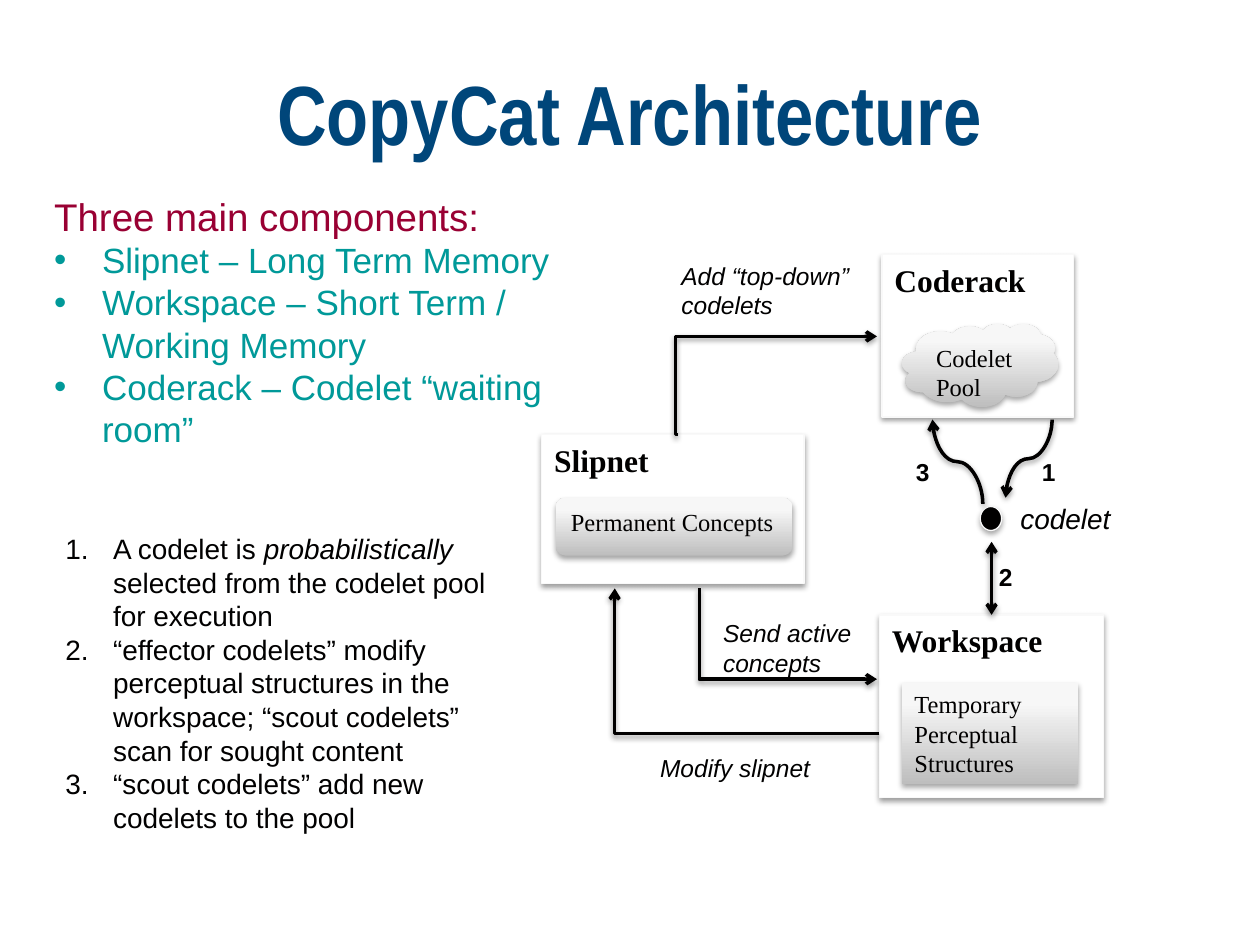
from lxml.etree import SubElement
from pptx import Presentation
from pptx.dml.color import RGBColor
from pptx.enum.shapes import MSO_CONNECTOR as LINK, MSO_SHAPE as SHAPE
from pptx.enum.text import MSO_ANCHOR as ANCHOR, MSO_AUTO_SIZE as FIT, PP_ALIGN as ALIGN
from pptx.oxml.ns import qn
from pptx.util import Emu, Pt

PX = 9144
SERIF = "Times New Roman"
INK, TEAL, WINE, NAVY = "010000", "009999", "990033", "00467A"


def px(value):
    return Emu(round(value * PX))


def color(hex_text):
    return RGBColor.from_string(hex_text)


def write(paragraph, text, size=14, font="Arial", ink=INK, bold=False, italic=False):
    run = paragraph.add_run()
    run.text = text
    run.font.size = Pt(size)
    run.font.name = font
    run.font.color.rgb = color(ink)
    run.font.bold = bold
    run.font.italic = italic


def new_paragraph(frame):
    first = frame.paragraphs[0]
    return first if not first.runs else frame.add_paragraph()


def set_marker(paragraph, tag, hanging=0, **attributes):
    properties = paragraph._p.get_or_add_pPr()
    properties.set("marL", str(px(hanging)))
    properties.set("indent", str(-px(hanging)))
    paragraph.space_before = Pt(0)
    SubElement(properties, qn(tag), **attributes)


def place(shape, left, top, width, height):
    shape.left, shape.top = px(left), px(top)
    shape.width, shape.height = px(width), px(height)


def add_shadow(effects, distance, opacity):
    shadow = SubElement(effects, qn("a:outerShdw"), blurRad="40000", dist=str(distance),
                        dir="5400000", rotWithShape="0")
    black = SubElement(shadow, qn("a:srgbClr"), val="000000")
    SubElement(black, qn("a:alpha"), val=str(opacity * 1000))


def add_node(slide, kind, box, lines=(), fill=None, outline="F9F9F9", soft=False, **style):
    shape = slide.shapes.add_shape(kind, *map(px, box))
    if fill:
        shape.fill.solid()
        shape.fill.fore_color.rgb = color(fill)
        shape.line.color.rgb = color(outline)
        shape.line.width = Pt(0.75)
    else:
        shape.fill.gradient()
        shape.fill.gradient_angle = 90
        for stop, position, shade in zip(shape.fill.gradient_stops, (0, 0.8), ("BEBEBE", "F7F7F7")):
            stop.position = position
            stop.color.rgb = color(shade)
        shape.line.fill.background()
    shape.shadow.inherit = False
    effects = shape._element.spPr.find(qn("a:effectLst"))
    add_shadow(effects, *((23000, 35) if soft else (20000, 38)))
    frame = shape.text_frame
    frame.word_wrap = True
    frame.vertical_anchor = ANCHOR.TOP
    for line in lines:
        paragraph = new_paragraph(frame)
        paragraph.alignment = ALIGN.LEFT
        write(paragraph, line, font=SERIF, **style)
    return shape


def add_container(slide, kind, box, name):
    return add_node(slide, kind, box, [name], fill="FFFFFF", size=18, bold=True)


def add_label(slide, box, text=None, **style):
    shape = slide.shapes.add_textbox(*map(px, box))
    frame = shape.text_frame
    frame.word_wrap = True
    frame.auto_size = FIT.SHAPE_TO_FIT_TEXT
    if text:
        write(frame.paragraphs[0], text, **style)
    return frame


def add_arrow(slide, kind, start, end, adjust=None, turn=0, both=False):
    (x1, y1), (x2, y2) = start, end
    if turn:
        sign = 1 if turn == 90 else -1
        center_x, center_y = (x1 + x2) / 2, (y1 + y2) / 2
        dx, dy = sign * (y1 - y2) / 2, -sign * (x1 - x2) / 2
        x1, y1, x2, y2 = center_x + dx, center_y + dy, center_x - dx, center_y - dy
    arrow = slide.shapes.add_connector(kind, px(x1), px(y1), px(x2), px(y2))
    properties = arrow._element.spPr
    if turn:
        properties.find(qn("a:xfrm")).set("rot", str(turn * 60000))
    if adjust is not None:
        guides = properties.find(qn("a:prstGeom")).find(qn("a:avLst"))
        SubElement(guides, qn("a:gd"), name="adj1", fmla=f"val {adjust}")
    arrow.line.color.rgb = color(INK)
    arrow.line.width = Pt(2)
    line = properties.find(qn("a:ln"))
    for tag in ("a:headEnd", "a:tailEnd")[0 if both else 1:]:
        SubElement(line, qn(tag), type="arrow")
    add_shadow(SubElement(properties, qn("a:effectLst")), 20000, 38)
    return arrow


def add_title(slide):
    title = slide.shapes.title
    place(title, 50, 58, 900, 100)
    frame = title.text_frame
    frame.auto_size = FIT.NONE
    frame.vertical_anchor = ANCHOR.TOP
    frame.margin_top = px(13)
    paragraph = frame.paragraphs[0]
    paragraph.alignment = ALIGN.CENTER
    paragraph.line_spacing = 0.7
    write(paragraph, "CopyCat Architecture", size=48, font="Arial Narrow", ink=NAVY, bold=True)


def add_components(slide):
    body = slide.placeholders[1]
    place(body, 33, 148, 442, 263)
    frame = body.text_frame
    frame.auto_size = FIT.NONE
    heading = frame.paragraphs[0]
    set_marker(heading, "a:buNone")
    write(heading, "Three main components:", size=22, ink=WINE)
    for item in ("Slipnet – Long Term Memory", "Workspace – Short Term / Working Memory",
                 "Coderack – Codelet “waiting room”"):
        paragraph = new_paragraph(frame)
        set_marker(paragraph, "a:buChar", 38, char="•")
        write(paragraph, item, size=20, ink=TEAL)


def add_steps(slide):
    frame = add_label(slide, (42, 417, 367, 279))
    steps = (
        (("A codelet is ", False), ("probabilistically ", True),
         ("selected from the codelet pool for execution", False)),
        (("“effector codelets” modify perceptual structures in the workspace; "
          "“scout codelets” scan for sought content", False),),
        (("“scout codelets” add new codelets to the pool", False),),
    )
    for step in steps:
        paragraph = new_paragraph(frame)
        set_marker(paragraph, "a:buAutoNum", 38, type="arabicPeriod")
        for text, italic in step:
            write(paragraph, text, size=16, italic=italic)


def add_diagram(slide):
    add_container(slide, SHAPE.FLOWCHART_PROCESS, (430, 345, 208, 118), "Slipnet")
    add_node(slide, SHAPE.FLOWCHART_ALTERNATE_PROCESS, (441, 395, 188, 46),
             ["Permanent Concepts"], soft=True)
    workspace = add_container(slide, SHAPE.RECTANGLE, (698, 488, 178, 145), "Workspace")
    add_node(slide, SHAPE.FLOWCHART_PROCESS, (716, 542, 140, 80),
             ["Temporary", "Perceptual", "Structures"], soft=True)
    add_container(slide, SHAPE.RECTANGLE, (700, 202, 152, 129), "Coderack")
    add_node(slide, SHAPE.CLOUD, (716, 257, 124, 66), ["Codelet Pool"], soft=True)
    add_node(slide, SHAPE.OVAL, (778, 402, 17, 19), fill=INK, soft=True)

    add_arrow(slide, LINK.ELBOW, (555, 467), (696, 539), adjust=0)
    add_arrow(slide, LINK.CURVE, (835, 333), (798, 395), turn=90)
    add_arrow(slide, LINK.CURVE, (780, 400), (740, 333), turn=270)
    exchange = add_arrow(slide, LINK.STRAIGHT, (787, 430), (787, 488), both=True)
    exchange.end_connect(workspace, 0)
    add_arrow(slide, LINK.ELBOW, (538, 345), (696, 267), adjust=-1200)
    add_arrow(slide, LINK.ELBOW, (698, 582), (488, 467), adjust=100100)

    add_label(slide, (800, 393, 150, 37), "codelet", size=16, italic=True)
    for box, text in (((564, 486, 132, 57), "Send active concepts"),
                      ((514, 593, 142, 34), "Modify slipnet"),
                      ((531, 202, 156, 57), "Add “top-down” codelets")):
        add_label(slide, box, text, italic=True)
    for box, number in (((817, 358, 23, 34), "1"), ((783, 441, 50, 34), "2"),
                        ((717, 358, 50, 34), "3")):
        add_label(slide, box, number, bold=True)


def main():
    presentation = Presentation()
    presentation.slide_width, presentation.slide_height = px(1000), px(750)
    slide = presentation.slides.add_slide(presentation.slide_layouts[1])
    add_title(slide)
    add_components(slide)
    add_diagram(slide)
    add_steps(slide)
    presentation.save("out.pptx")


if __name__ == "__main__":
    main()
